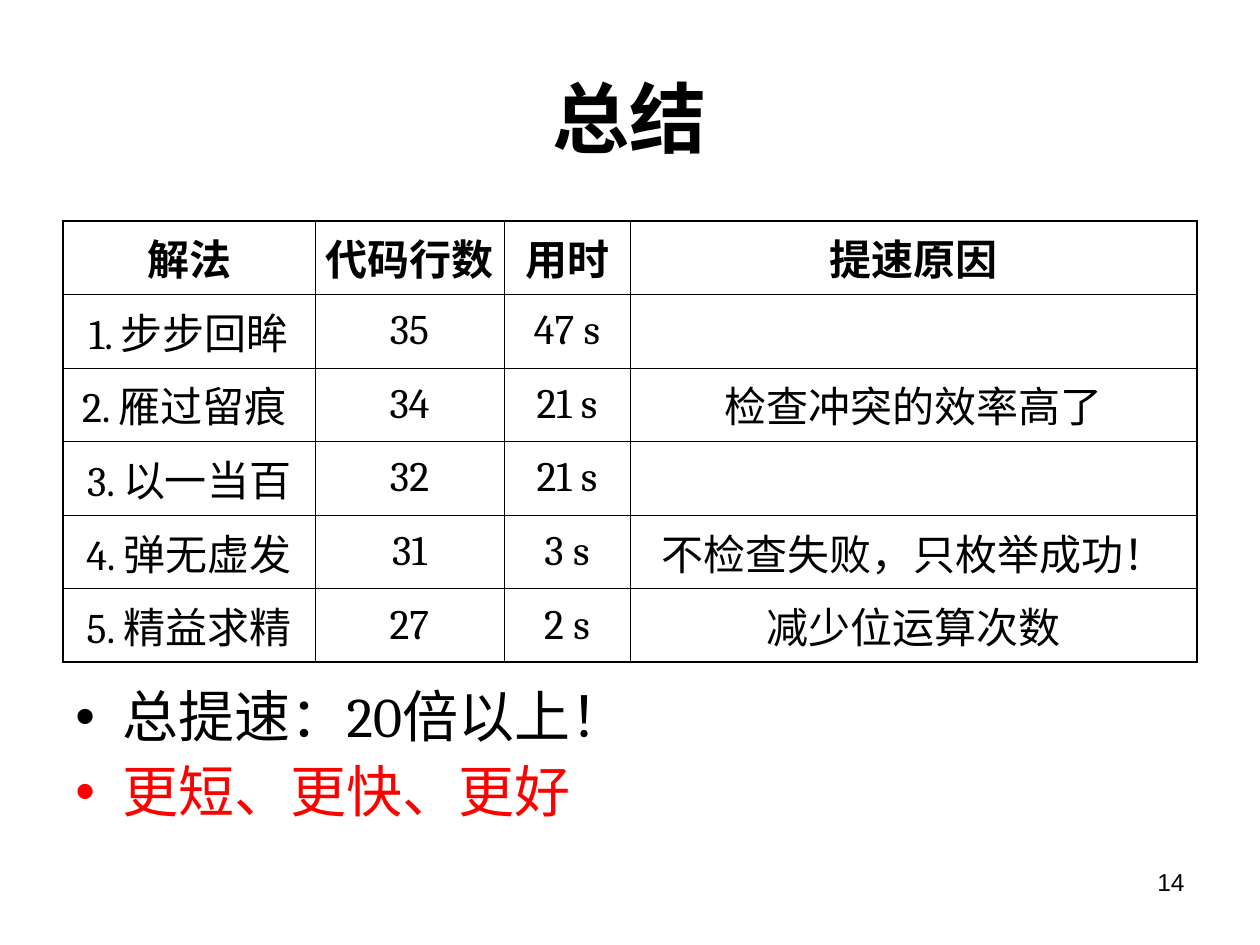
from dataclasses import dataclass

from lxml import etree
from pptx import Presentation
from pptx.dml.color import RGBColor
from pptx.enum.text import MSO_ANCHOR, MSO_AUTO_SIZE, PP_ALIGN
from pptx.oxml.ns import qn
from pptx.util import Cm, Pt

CENTER, RIGHT = PP_ALIGN.CENTER, PP_ALIGN.RIGHT
MIDDLE = MSO_ANCHOR.MIDDLE
NO_AUTOFIT = MSO_AUTO_SIZE.NONE
TITLE_ONLY = 5


@dataclass(frozen=True)
class Theme:
    font: str = "Cambria"
    number_font: str = "Arial"
    ink: str = "000000"
    accent: str = "FF0000"
    title_size: int = 44
    bullet_size: int = 32
    table_size: int = 24
    number_size: int = 14
    outer_border: float = 1.08
    inner_border: float = 0.45


THEME = Theme()

HEADER = ["解法", "代码行数", "用时", "提速原因"]
SOLUTIONS = [
    ["1. 步步回眸", "35", "47 s", ""],
    ["2. 雁过留痕 ", "34", "21 s", "检查冲突的效率高了"],
    ["3. 以一当百", "32", "21 s", ""],
    ["4. 弹无虚发", "31", "3 s", "不检查失败，只枚举成功！"],
    ["5. 精益求精", "27", "2 s", "减少位运算次数"],
]
COLUMN_SHARES = [4, 3, 2, 9]
CONCLUSIONS = [("总提速：20倍以上！", THEME.ink), ("更短、更快、更好", THEME.accent)]


def format_runs(paragraph, size, color=THEME.ink, bold=False, font_name=THEME.font):
    for run in paragraph.runs:
        run.font.name = font_name
        run.font.size = Pt(size)
        run.font.bold = bold
        run.font.color.rgb = RGBColor.from_string(color)


def set_bullet(paragraph, color, indent):
    properties = paragraph._p.get_or_add_pPr()
    properties.set("marL", str(indent))
    properties.set("indent", str(-indent))
    bullet_color = etree.SubElement(properties, qn("a:buClr"))
    etree.SubElement(bullet_color, qn("a:srgbClr"), val=color)
    etree.SubElement(properties, qn("a:buFont"), typeface=THEME.number_font)
    etree.SubElement(properties, qn("a:buChar"), char="•")


def set_borders(cell, outer_sides):
    """Draw all four borders, heavier on the sides at the table's edge."""
    properties = cell._tc.get_or_add_tcPr()
    for side in "LRTB":
        width = THEME.outer_border if side in outer_sides else THEME.inner_border
        line = etree.SubElement(properties, qn(f"a:ln{side}"), w=str(Pt(width)))
        fill = etree.SubElement(line, qn("a:solidFill"))
        etree.SubElement(fill, qn("a:srgbClr"), val=THEME.ink)


def place_title(slide, left, top, width, height):
    title = slide.shapes.title
    title.left, title.top, title.width, title.height = left, top, width, height
    frame = title.text_frame
    frame.text = "总结"
    frame.auto_size = NO_AUTOFIT
    frame.vertical_anchor = MIDDLE
    frame.paragraphs[0].alignment = CENTER
    format_runs(frame.paragraphs[0], THEME.title_size, bold=True)


def fill_cell(cell, text, is_header):
    cell.vertical_anchor = MIDDLE
    paragraph = cell.text_frame.paragraphs[0]
    paragraph.text = text
    paragraph.alignment = CENTER
    paragraph.space_before = Pt(6)
    format_runs(paragraph, THEME.table_size, bold=is_header)


def place_comparison(slide, left, top, width, height):
    rows = [HEADER, *SOLUTIONS]
    last_row, last_column = len(rows) - 1, len(HEADER) - 1
    table = slide.shapes.add_table(len(rows), len(HEADER), left, top, width, height).table
    table.first_row = table.horz_banding = False
    for column, share in zip(table.columns, COLUMN_SHARES):
        column.width = width * share // sum(COLUMN_SHARES)
    for r, row in enumerate(rows):
        for c, text in enumerate(row):
            cell = table.cell(r, c)
            fill_cell(cell, text, is_header=r == 0)
            edges = {"L": c == 0, "R": c == last_column, "T": r == 0, "B": r == last_row}
            set_borders(cell, [side for side, is_edge in edges.items() if is_edge])
            cell.fill.background()
    line_count_header = table.cell(0, 1)
    line_count_header.margin_left = line_count_header.margin_right = Cm(0.13)


def place_conclusions(slide, left, top, width, height):
    frame = slide.shapes.add_textbox(left, top, width, height).text_frame
    frame.word_wrap = True
    frame.text = "\n".join(text for text, _ in CONCLUSIONS)
    for paragraph, (_, color) in zip(frame.paragraphs, CONCLUSIONS):
        paragraph.line_spacing = 0.9
        paragraph.space_before = Pt(8)
        set_bullet(paragraph, color, Cm(0.95))
        format_runs(paragraph, THEME.bullet_size, color)


def place_slide_number(slide, left, top, width, height):
    frame = slide.shapes.add_textbox(left, top, width, height).text_frame
    frame.word_wrap = True
    frame.text = "14"
    frame.paragraphs[0].alignment = RIGHT
    format_runs(frame.paragraphs[0], THEME.number_size, font_name=THEME.number_font)


def main():
    presentation = Presentation()
    presentation.slide_width, presentation.slide_height = Cm(25.4), Cm(19.05)
    slide = presentation.slides.add_slide(presentation.slide_layouts[TITLE_ONLY])
    margin = Cm(1.27)
    content_width = presentation.slide_width - 2 * margin
    number_width = Cm(5.92)

    place_title(slide, margin, Cm(0.76), content_width, Cm(3.18))
    place_comparison(slide, margin, Cm(4.45), content_width, Cm(7.62))
    place_conclusions(slide, margin, Cm(13.77), content_width, Cm(3.18))
    place_slide_number(slide, margin + content_width - number_width, Cm(17.35),
                       number_width, Cm(1.32))
    presentation.save("out.pptx")


if __name__ == "__main__":
    main()
